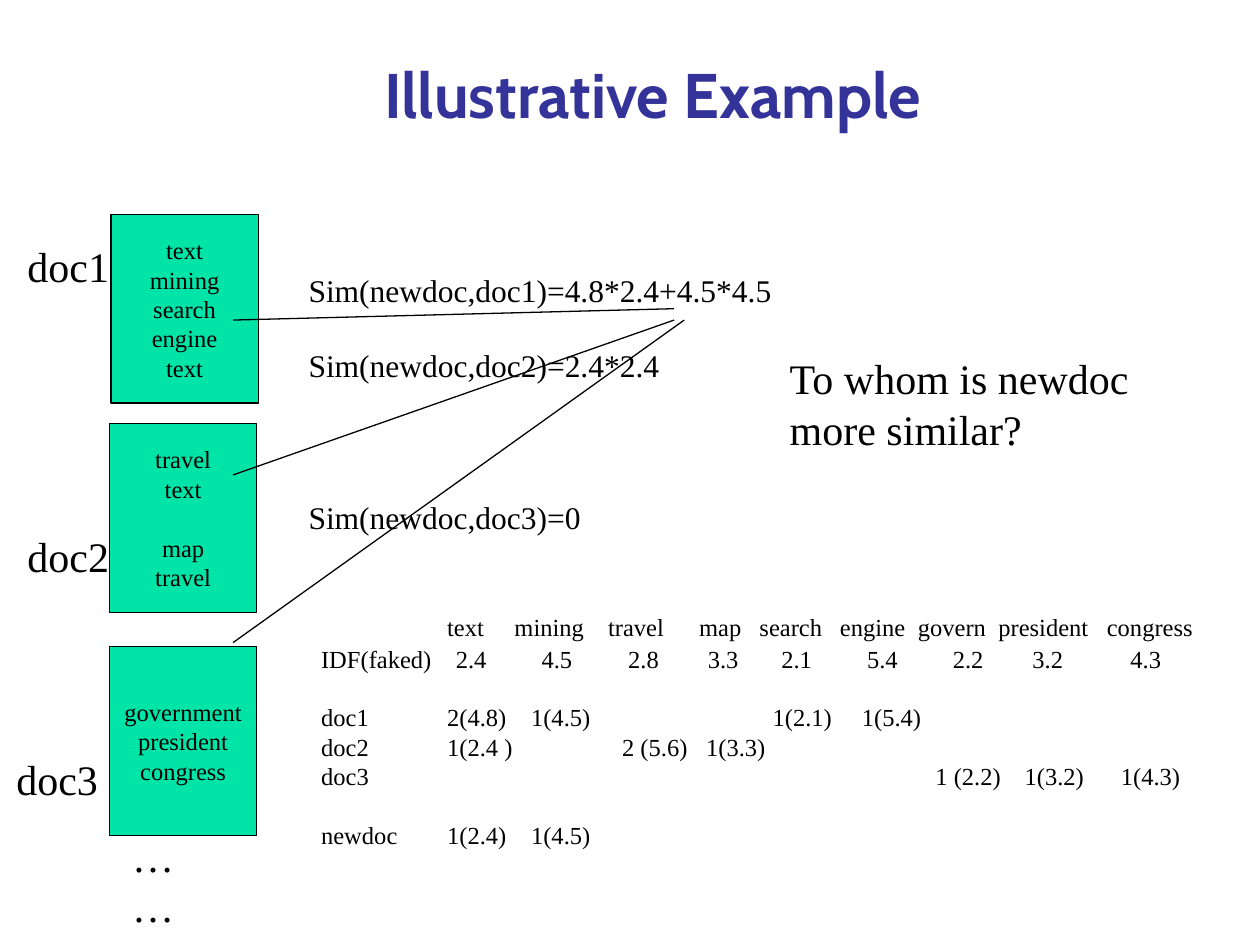
from lxml.etree import SubElement
from pptx import Presentation
from pptx.dml.color import RGBColor
from pptx.enum.shapes import MSO_CONNECTOR as Connector, MSO_SHAPE as Shape
from pptx.enum.text import MSO_ANCHOR as Anchor, MSO_AUTO_SIZE as AutoSize, PP_ALIGN as Align
from pptx.oxml.ns import qn
from pptx.util import Pt

COLORS = {"title": "333399", "text": "000000", "card": "00E4A8", "line": "000000"}
SERIF = "Times New Roman"
LEADING = 1.2

# Each document: label, label position, card position, lines as (text, blank lines above)
DOCUMENTS = [
    ("doc1", (8.6, 134), (63.4, 122.4),
     [("text", 0), ("mining", 0), ("search", 0), ("engine", 0), ("text", 0)]),
    ("doc2", (8.6, 299.5), (62.6, 242),
     [("travel", 0), ("text", 0), ("map", 1), ("travel", 0)]),
    ("doc3", (2.2, 427), (62.6, 369.4),
     [("government", 0), ("president", 0), ("congress", 0)]),
]
CARD_SIZE = (84.2, 108)

SIMILARITIES = [("Sim(newdoc,doc1)=4.8*2.4+4.5*4.5", 0),
                ("Sim(newdoc,doc2)=2.4*2.4", 1),
                ("Sim(newdoc,doc3)=0", 3)]
LINKS = [((133.2, 182.9), (385.2, 176.4)),
         ((133.2, 271.4), (385.2, 182.9)),
         ((133.2, 367.2), (391, 182.9))]

# Each row: name, entries, tab stops, points above
WEIGHTS = [
    ("", ["text", "mining", "travel", "map", "search", "engine", "govern",
          "president", "congress"],
     [72, 110.5, 164, 216, 250.5, 296.5, 341, 387, 449], 0),
    ("IDF(faked)", ["2.4", "4.5", "2.8", "3.3", "2.1", "5.4", "2.2", "3.2", "4.3"],
     [77, 126, 175.5, 221, 263, 312, 361, 406.5, 462.5], 1.5),
    ("doc1", ["2(4.8)", "1(4.5)", "1(2.1)", "1(5.4)"], [72, 120, 258, 309], 16.8),
    ("doc2", ["1(2.4 )", "2 (5.6)", "1(3.3)"], [72, 172, 220], 0),
    ("doc3", ["1 (2.2)", "1(3.2)", "1(4.3)"], [351, 402, 457], 0),
    ("newdoc", ["1(2.4)", "1(4.5)"], [72, 120], 16.8),
]


def color(name):
    return RGBColor.from_string(COLORS[name])


def write(paragraph, text, *, size, font=SERIF, fill="text", bold=False,
          align=Align.LEFT, before=0, leading=None, tabs=()):
    paragraph.alignment = align
    paragraph.space_before = Pt(before)
    if leading:
        paragraph.line_spacing = Pt(leading)
    if tabs:
        tab_list = SubElement(paragraph._p.get_or_add_pPr(), qn("a:tabLst"))
        for stop in tabs:
            SubElement(tab_list, qn("a:tab"), pos=str(Pt(stop)), algn="l")
    run = paragraph.add_run()
    run.text = text
    run.font.size, run.font.name, run.font.bold = Pt(size), font, bold
    run.font.color.rgb = color(fill)


def next_paragraph(frame, index):
    return frame.paragraphs[0] if index == 0 else frame.add_paragraph()


def write_lines(frame, lines, size, **style):
    leading = size * LEADING
    for index, (text, blanks) in enumerate(lines):
        write(next_paragraph(frame, index), text, size=size,
              before=blanks * leading, leading=leading, **style)


def add_box(slide, box, wrap=False):
    frame = slide.shapes.add_textbox(*map(Pt, box)).text_frame
    frame.word_wrap = wrap
    frame.auto_size = AutoSize.SHAPE_TO_FIT_TEXT
    return frame


def add_title(slide, box):
    title = slide.shapes.title
    title.left, title.top, title.width, title.height = map(Pt, box)
    frame = title.text_frame
    frame.vertical_anchor = Anchor.BOTTOM
    frame.auto_size = AutoSize.NONE
    write(frame.paragraphs[0], "Illustrative Example", size=36, font="Cabin",
          fill="title", bold=True, align=Align.CENTER)


def add_label(slide, text, box, **options):
    write(add_box(slide, box, **options).paragraphs[0], text, size=24)


def add_card(slide, lines, box):
    card = slide.shapes.add_shape(Shape.RECTANGLE, *map(Pt, box))
    card.shadow.inherit = False
    card.fill.solid()
    card.fill.fore_color.rgb = color("card")
    card.line.color.rgb = color("line")
    card.line.width = Pt(0.75)
    card.text_frame.word_wrap = False
    card.text_frame.vertical_anchor = Anchor.MIDDLE
    write_lines(card.text_frame, lines, 14, align=Align.CENTER)


def add_link(slide, start, end):
    link = slide.shapes.add_connector(Connector.STRAIGHT, *map(Pt, start + end))
    link.line.color.rgb = color("line")
    link.line.width = Pt(0.75)
    SubElement(link._element.spPr, qn("a:effectLst"))


def add_weights(slide, box):
    frame = add_box(slide, box)
    for index, (name, entries, stops, before) in enumerate(WEIGHTS):
        write(next_paragraph(frame, index), "\t".join([name, *entries]), size=14,
              before=before, leading=16.8 if index else 25, tabs=stops)


def main():
    presentation = Presentation()
    presentation.slide_width, presentation.slide_height = Pt(720), Pt(540)
    slide = presentation.slides.add_slide(presentation.slide_layouts[5])
    add_title(slide, (66.2, 30.2, 613.4, 48.2))

    # Term weights
    add_weights(slide, (176.4, 337.7, 512.6, 154))

    # Documents
    for label, label_position, card_position, lines in DOCUMENTS:
        add_card(slide, lines, card_position + CARD_SIZE)
        add_label(slide, label, label_position + (61.2, 36))
    add_label(slide, "……", (68.4, 471, 62, 36))

    # Question and similarities
    add_label(slide, "To whom is newdoc more similar?", (444.2, 198, 234, 93.6), wrap=True)
    write_lines(add_box(slide, (169.2, 151.2, 279.4, 158.4)), SIMILARITIES, 18)
    for start, end in LINKS:
        add_link(slide, start, end)

    presentation.save("out.pptx")


if __name__ == "__main__":
    main()
